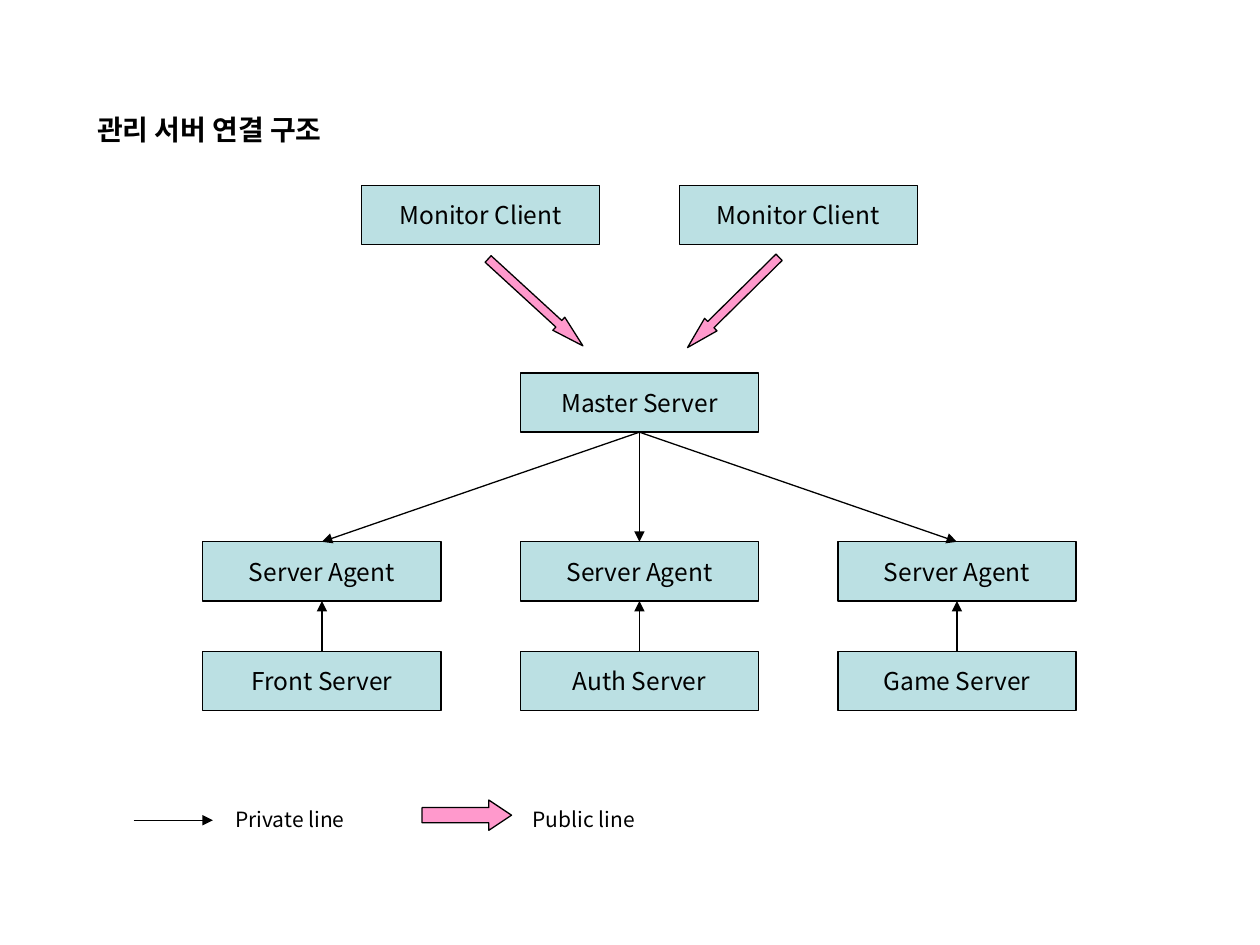
from dataclasses import dataclass

from lxml.etree import SubElement
from pptx import Presentation
from pptx.dml.color import RGBColor
from pptx.enum.shapes import MSO_CONNECTOR, MSO_SHAPE
from pptx.enum.text import MSO_ANCHOR, MSO_AUTO_SIZE, PP_ALIGN
from pptx.oxml.ns import qn
from pptx.util import Inches, Pt


@dataclass(frozen=True)
class Theme:
    font: str = "Noto Sans CJK KR"
    ink: RGBColor = RGBColor(0x00, 0x00, 0x00)
    node_fill: RGBColor = RGBColor(0xBB, 0xE0, 0xE3)
    public_fill: RGBColor = RGBColor(0xFF, 0x99, 0xCC)
    title_size: int = 16
    node_size: int = 14
    legend_size: int = 12
    line_width: float = 0.75


@dataclass(frozen=True)
class Grid:
    left: float = 1.61
    pitch: float = 2.52
    node_width: float = 1.89
    node_height: float = 0.47
    row_tops: tuple = (1.47, 2.96, 4.30, 5.17)


@dataclass(frozen=True)
class Node:
    label: str
    column: float
    row: int


@dataclass(frozen=True)
class PublicArrow:
    left: float
    top: float
    width: float
    height: float
    head: float
    rotation: float = 0


THEME = Theme()
GRID = Grid()
TOP, BOTTOM = 0, 2  # connection sites of a rectangle

CLIENTS = [Node("Monitor Client", column, 0) for column in (0.5, 1.5)]
MASTER = Node("Master Server", 1, 1)
AGENTS = [Node("Server Agent", column, 2) for column in range(3)]
SERVERS = [Node(f"{role} Server", column, 3)
           for column, role in enumerate(("Front", "Auth", "Game"))]
PUBLIC_ARROWS = [
    PublicArrow(3.74, 2.33, 1.02, 0.14, 1.85, 42.5),
    PublicArrow(5.31, 2.33, 1.02, 0.14, 1.85, 135.4),
    PublicArrow(3.35, 6.35, 0.71, 0.24, 0.75),  # legend sample
]
LEGEND_TOP = 6.35
LEGEND_LABELS = {"Private line": 1.77, "Public line": 4.13}


def write_text(shape, text: str, size: float, align=PP_ALIGN.LEFT,
               anchor=MSO_ANCHOR.TOP, bold: bool = False, wrap: bool = True) -> None:
    frame = shape.text_frame
    frame.word_wrap = wrap
    frame.auto_size = MSO_AUTO_SIZE.NONE
    frame.vertical_anchor = anchor
    paragraph = frame.paragraphs[0]
    paragraph.text = text
    paragraph.alignment = align
    font = paragraph.font
    font.size, font.bold, font.name = Pt(size), bold, THEME.font
    font.color.rgb = THEME.ink
    # Hangul takes its typeface from the East Asian slot
    properties = paragraph._p.pPr.find(qn("a:defRPr"))
    SubElement(properties, qn("a:ea"), typeface=THEME.font)


def style_shape(shape, fill: RGBColor) -> None:
    shape.shadow.inherit = False
    shape.fill.solid()
    shape.fill.fore_color.rgb = fill
    shape.line.color.rgb = THEME.ink
    shape.line.width = Pt(THEME.line_width)


def add_node(slide, node: Node):
    box = slide.shapes.add_shape(
        MSO_SHAPE.RECTANGLE,
        Inches(GRID.left + node.column * GRID.pitch), Inches(GRID.row_tops[node.row]),
        Inches(GRID.node_width), Inches(GRID.node_height))
    style_shape(box, THEME.node_fill)
    write_text(box, node.label, THEME.node_size, PP_ALIGN.CENTER,
               MSO_ANCHOR.MIDDLE, wrap=False)
    return box


def add_private_line(slide, start=(0, 0), end=(0, 0)):
    line = slide.shapes.add_connector(
        MSO_CONNECTOR.STRAIGHT, *map(Inches, start), *map(Inches, end))
    line.line.color.rgb = THEME.ink
    line.line.width = Pt(THEME.line_width)
    SubElement(line.line._get_or_add_ln(), qn("a:tailEnd"), type="triangle")
    SubElement(line._element.spPr, qn("a:effectLst"))
    return line


def join_nodes(slide, source, source_site: int, target, target_site: int) -> None:
    line = add_private_line(slide)
    line.begin_connect(source, source_site)
    line.end_connect(target, target_site)


def add_public_arrow(slide, arrow: PublicArrow) -> None:
    shape = slide.shapes.add_shape(
        MSO_SHAPE.RIGHT_ARROW, Inches(arrow.left), Inches(arrow.top),
        Inches(arrow.width), Inches(arrow.height))
    style_shape(shape, THEME.public_fill)
    shape.adjustments[0] = 0.5
    shape.adjustments[1] = arrow.head
    shape.rotation = arrow.rotation


def main() -> None:
    deck = Presentation()
    deck.slide_width, deck.slide_height = Inches(10), Inches(7.5)
    slide = deck.slides.add_slide(deck.slide_layouts[5])

    # Title
    title = slide.shapes.title
    title.left, title.top = Inches(0.67), Inches(0.84)
    title.width, title.height = Inches(2.28), Inches(0.37)
    write_text(title, "관리 서버 연결 구조", THEME.title_size, bold=True)

    # Nodes
    for client in CLIENTS:
        add_node(slide, client)
    master = add_node(slide, MASTER)
    agents = [add_node(slide, agent) for agent in AGENTS]
    servers = [add_node(slide, server) for server in SERVERS]

    # Private lines
    for agent, server in zip(agents, servers):
        join_nodes(slide, master, BOTTOM, agent, TOP)
        join_nodes(slide, server, TOP, agent, BOTTOM)

    # Public lines
    for arrow in PUBLIC_ARROWS:
        add_public_arrow(slide, arrow)

    # Legend
    add_private_line(slide, (1.06, 6.51), (1.69, 6.51))
    for text, left in LEGEND_LABELS.items():
        label = slide.shapes.add_textbox(
            Inches(left), Inches(LEGEND_TOP), Inches(1.26), Inches(0.3))
        write_text(label, text, THEME.legend_size)

    deck.save("out.pptx")


if __name__ == "__main__":
    main()
